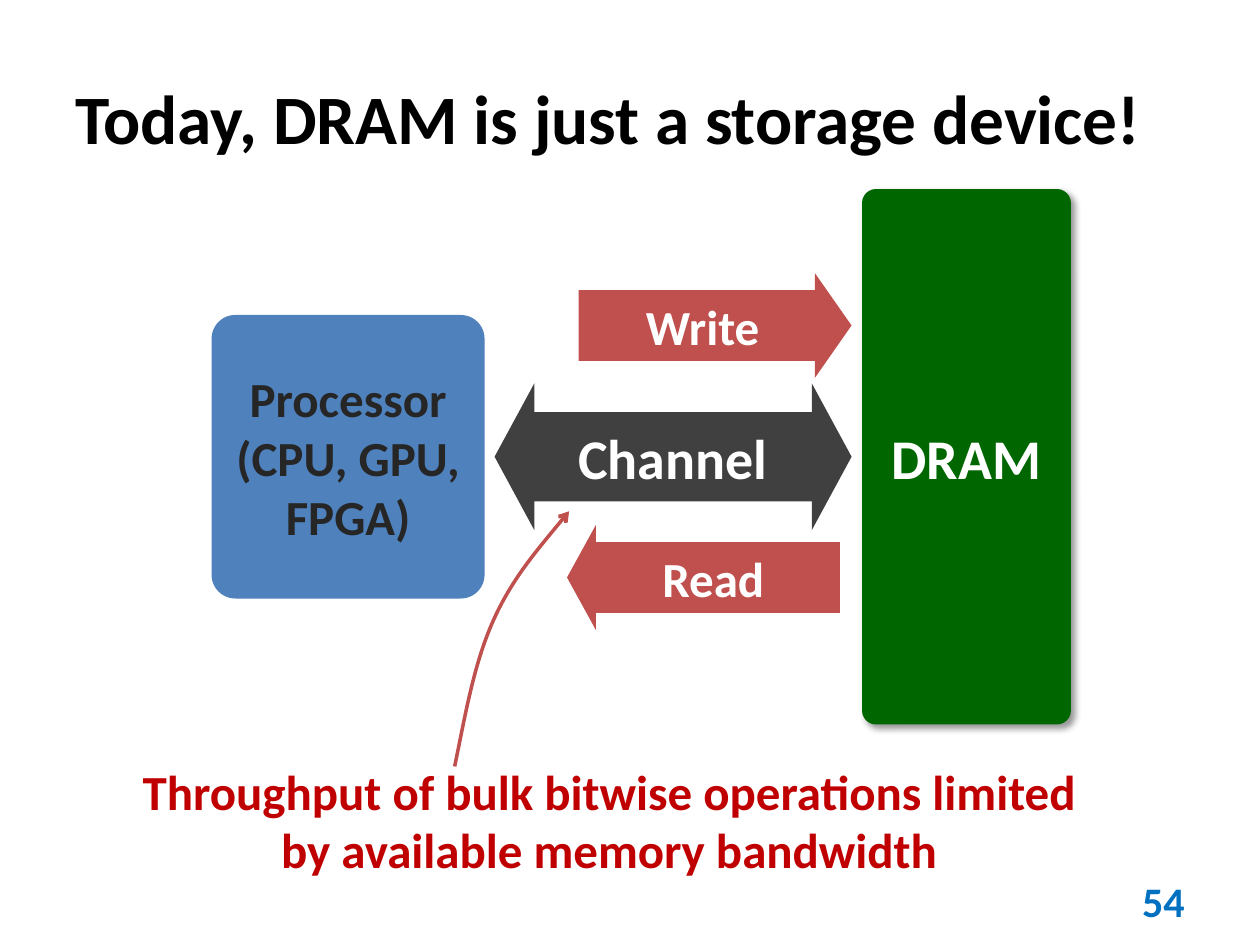
from pptx import Presentation
from pptx.dml.color import RGBColor
from pptx.enum.shapes import MSO_SHAPE as Kind
from pptx.enum.text import MSO_ANCHOR as Anchor, PP_ALIGN as Align
from pptx.oxml import parse_xml
from pptx.oxml.ns import nsdecls, qn
from pptx.util import Inches, Pt

BLACK = RGBColor(0x00, 0x00, 0x00)
WHITE = RGBColor(0xFF, 0xFF, 0xFF)
DARK = RGBColor(0x26, 0x26, 0x26)
GRAY = RGBColor(0x40, 0x40, 0x40)
BLUE = RGBColor(0x4F, 0x81, 0xBD)
SKY = RGBColor(0x00, 0x70, 0xC0)
GREEN = RGBColor(0x00, 0x66, 0x00)
BRICK = RGBColor(0xC0, 0x50, 0x4D)
RED = RGBColor(0xC0, 0x00, 0x00)

COLS, ROWS = 120, 90


class Deck:
    font = "Calibri"

    def __init__(self):
        self.show = Presentation()
        self.show.slide_width = Inches(10)
        self.show.slide_height = Inches(7.5)
        self.slide = self.show.slides.add_slide(self.show.slide_layouts[6])

    def x(self, col):
        return round(self.show.slide_width * col / COLS)

    def y(self, row):
        return round(self.show.slide_height * row / ROWS)

    def area(self, col, row, wide, high):
        return self.x(col), self.y(row), self.x(wide), self.y(high)

    def fill_text(self, shape, text, size, color, align, anchor):
        frame = shape.text_frame
        frame.text = text
        frame.word_wrap = True
        frame.vertical_anchor = anchor
        for para in frame.paragraphs:
            para.alignment = align
            for run in para.runs:
                run.font.name = self.font
                run.font.size = Pt(size)
                run.font.bold = True
                run.font.color.rgb = color

    def label(self, area, text, size, color, align, anchor=Anchor.MIDDLE):
        box = self.slide.shapes.add_textbox(*self.area(*area))
        self.fill_text(box, text, size, color, align, anchor)

    def block(self, kind, area, text, size, fill, adjust, color=WHITE):
        shape = self.slide.shapes.add_shape(kind, *self.area(*area))
        shape.shadow.inherit = False
        for i, value in enumerate(adjust):
            shape.adjustments[i] = value
        shape.fill.solid()
        shape.fill.fore_color.rgb = fill
        shape.line.fill.background()
        self.fill_text(shape, text, size, color, Align.CENTER, Anchor.MIDDLE)
        return shape

    def shade(self, shape):
        effects = shape.element.spPr.find(qn("a:effectLst"))
        effects.append(parse_xml(
            f'<a:outerShdw {nsdecls("a")} blurRad="{Pt(4)}" dist="{Pt(3)}" '
            'dir="2700000" algn="tl" rotWithShape="0"><a:srgbClr val="000000">'
            '<a:alpha val="40000"/></a:srgbClr></a:outerShdw>'))

    def curve(self, points, color, width):
        start, *rest = [(self.x(c), self.y(r)) for c, r in points]
        maker = self.slide.shapes.build_freeform(*start)
        maker.add_line_segments(rest, close=False)
        shape = maker.convert_to_shape()
        shape.shadow.inherit = False
        shape.fill.background()
        shape.line.color.rgb = color
        shape.line.width = Pt(width)
        lines = list(shape.element.iter(qn("a:lnTo")))
        for i in range(0, len(lines), 3):
            bend = parse_xml(f'<a:cubicBezTo {nsdecls("a")}/>')
            lines[i].addprevious(bend)
            for line in lines[i:i + 3]:
                bend.append(line[0])
                line.getparent().remove(line)
        shape.element.spPr.find(qn("a:ln")).append(
            parse_xml(f'<a:tailEnd {nsdecls("a")} type="arrow"/>'))

    def save(self):
        self.show.save("out.pptx")


def main():
    deck = Deck()
    deck.label((6, 3.6, 108, 15), "Today, DRAM is just a storage device!",
               39.6, BLACK, Align.LEFT)
    deck.label((86, 83.4, 28, 4.8), "54", 24, SKY, Align.RIGHT)
    deck.block(Kind.ROUNDED_RECTANGLE, (20.15, 30, 26, 27),
               "Processor\n(CPU, GPU, FPGA)", 28, BLUE, [0.087], DARK)
    dram = deck.block(Kind.ROUNDED_RECTANGLE, (82.1, 18, 19.9, 51),
                      "DRAM", 32, GREEN, [0.067])
    deck.shade(dram)
    deck.block(Kind.LEFT_RIGHT_ARROW, (47.1, 36.5, 34, 14),
               "Channel", 32, GRAY, [0.608, 0.271])
    deck.block(Kind.RIGHT_ARROW, (55.1, 26, 26, 10),
               "Write", 28, BRICK, [0.675, 0.35])
    deck.block(Kind.LEFT_ARROW, (54, 50, 26, 10),
               "Read", 28, BRICK, [0.675, 0.275])
    deck.label((10, 71.9, 96, 12.5),
               "Throughput of bulk bitwise operations limited "
               "by available memory bandwidth",
               28, RED, Align.CENTER, Anchor.TOP)
    deck.curve([(43.3, 73), (44.3, 68.2), (45.1, 63.4), (46.9, 59.3),
                (48.7, 55.2), (51.5, 52), (54.2, 48.7)], BRICK, 2)
    deck.save()


if __name__ == "__main__":
    main()
